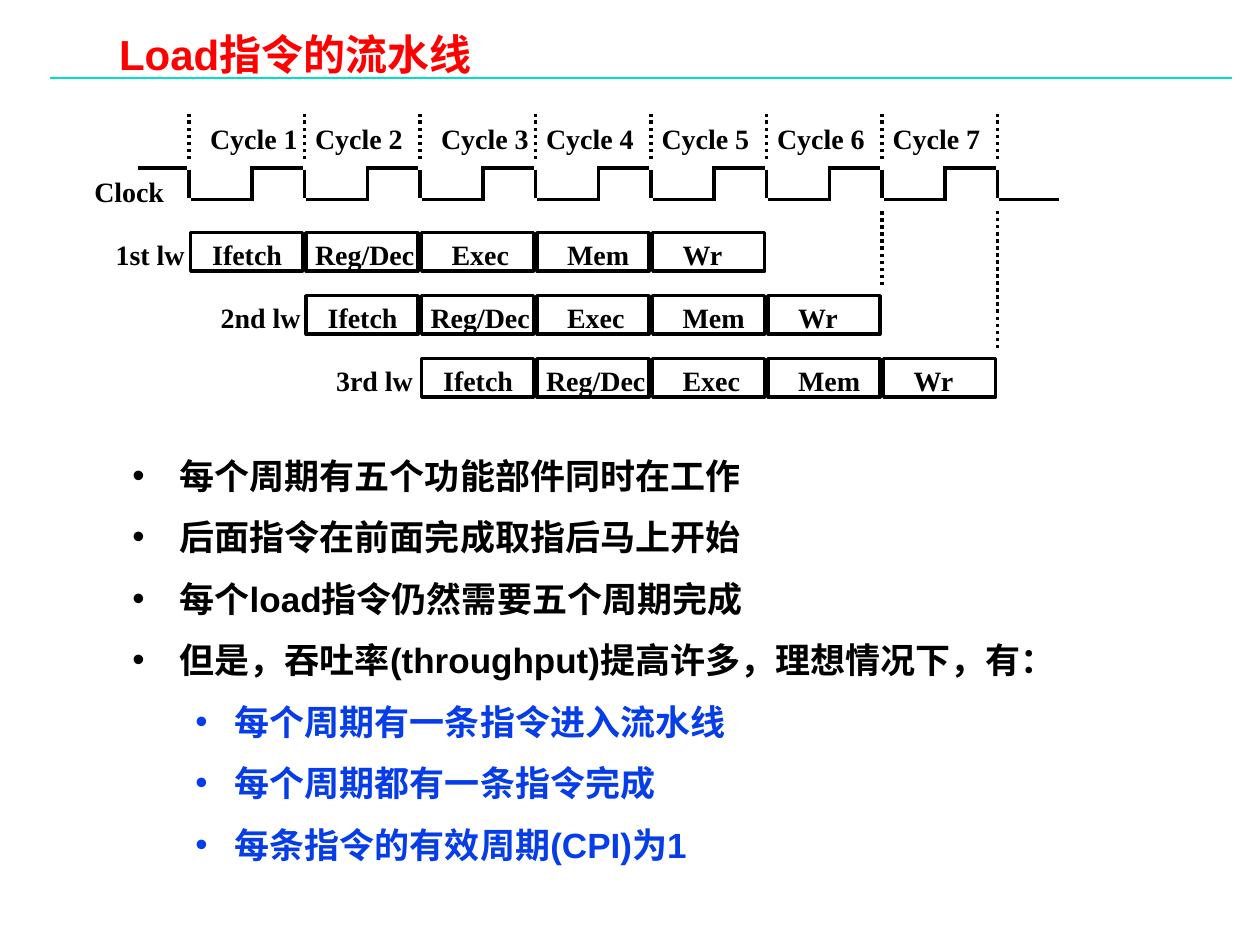
from lxml.etree import SubElement as Sub
from pptx import Presentation
from pptx.dml.color import RGBColor as RGB
from pptx.enum.dml import MSO_LINE as Dash
from pptx.enum.shapes import MSO_CONNECTOR as Conn, MSO_SHAPE as Shape
from pptx.enum.text import MSO_ANCHOR as Anchor, MSO_AUTO_SIZE as Auto, PP_ALIGN as Align
from pptx.oxml.ns import qn
from pptx.util import Pt

BLACK = RGB(0x00, 0x00, 0x00)
RED = RGB(0xFF, 0x00, 0x00)
BLUE = RGB(0x06, 0x3D, 0xE8)
TEAL = RGB(0x00, 0xDF, 0xCA)

LEFT, STEP = 108, 66            # first clock edge, cycle length
HIGH, LOW = 96, 114             # clock levels
CYCLES = 7
ROW_TOP, ROW_STEP = 133, 36

# Stage name, text offset from the clock edge, text width
STAGES = [("Ifetch", 6.2, 55), ("Reg/Dec", -1, 72), ("Exec", 11, 48),
          ("Mem", 11, 51), ("Wr", 11, 39)]
# Row label, left, width
ROWS = [("1st lw", 59, 55), ("2nd lw", 119, 61), ("3rd lw", 185, 60)]
POINTS = [
    (0, "每个周期有五个功能部件同时在工作"),
    (0, "后面指令在前面完成取指后马上开始"),
    (0, "每个load指令仍然需要五个周期完成"),
    (0, "但是，吞吐率(throughput)提高许多，理想情况下，有："),
    (1, "每个周期有一条指令进入流水线"),
    (1, "每个周期都有一条指令完成"),
    (1, "每条指令的有效周期(CPI)为1"),
]
# Colour, left margin and hanging indent of each level
LEVELS = [(BLACK, 27, 27), (BLUE, 58.5, 22.5)]


def edge(n):
    return LEFT + n * STEP


def add_run(para, text, size, face, color):
    run = para.add_run()
    run.text = text
    font = run.font
    font.size, font.name, font.bold = Pt(size), face, True
    font.color.rgb = color


def set_frame(frame, side, top, wrap):
    frame.margin_left = frame.margin_right = Pt(side)
    frame.margin_top = frame.margin_bottom = Pt(top)
    frame.vertical_anchor = Anchor.TOP
    frame.word_wrap = wrap
    frame.auto_size = Auto.SHAPE_TO_FIT_TEXT


def add_line(home, x1, y1, x2, y2, color=BLACK, width=2, dash=None):
    line = home.add_connector(Conn.STRAIGHT, Pt(x1), Pt(y1), Pt(x2), Pt(y2))
    line.line.color.rgb = color
    line.line.width = Pt(width)
    if dash:
        line.line.dash_style = dash
    Sub(line._element.spPr, qn("a:effectLst"))


def add_label(home, text, x, y, width):
    box = home.add_textbox(Pt(x), Pt(y), Pt(width), Pt(26))
    set_frame(box.text_frame, 7.2, 3.6, False)
    add_run(box.text_frame.paragraphs[0], text, 16, "Times New Roman", BLACK)


def add_cell(home, x, y):
    cell = home.add_shape(Shape.RECTANGLE, Pt(x), Pt(y), Pt(64), Pt(22))
    cell.shadow.inherit = False
    cell.fill.background()
    cell.line.color.rgb = BLACK
    cell.line.width = Pt(2)


def add_title(slide):
    title = slide.shapes.title
    title.left, title.top, title.width, title.height = Pt(63), Pt(18), Pt(380), Pt(29)
    set_frame(title.text_frame, 5, 2.5, True)
    para = title.text_frame.paragraphs[0]
    para.alignment = Align.LEFT
    para.line_spacing = 0.87
    add_run(para, "Load指令的流水线", 24, "Arial", RED)
    add_line(slide.shapes, 28.5, 44.6, 704, 44.6, TEAL, 1)


def add_drop(home, x):
    """Falling clock edge and the low level after it."""
    add_line(home, x + 1, LOW, x + 35, LOW)
    add_line(home, x, HIGH + 1, x, LOW - 1)


def add_clock(shapes):
    add_label(shapes, "Clock", 46.8, 96, 56)
    add_line(shapes, 79, HIGH, LEFT - 1, HIGH)
    for n in range(CYCLES):
        x = edge(n)
        wave = shapes.add_group_shape().shapes
        add_drop(wave, x)
        add_line(wave, x + 36, LOW + 1, x + 36, HIGH - 1)
        add_line(wave, x + 37, HIGH, x + 65, HIGH)
        add_label(shapes, f"Cycle {n + 1}", x + (5 if n in (0, 2) else -1), 66, 66)
    add_drop(shapes, edge(CYCLES))
    # Dotted cycle borders
    for n in range(CYCLES + 1):
        add_line(shapes, edge(n), 91, edge(n), 65, dash=Dash.ROUND_DOT)
    for n, end in ((6, 163), (7, 199)):
        add_line(shapes, edge(n), end, edge(n), 119, dash=Dash.ROUND_DOT)


def add_rows(shapes):
    for row, (name, left, width) in enumerate(ROWS):
        y = ROW_TOP + row * ROW_STEP
        group = shapes.add_group_shape().shapes
        for n, (stage, shift, span) in enumerate(STAGES, row):
            add_cell(group, edge(n) + 1, y)
            add_label(group, stage, edge(n) + shift, y - 1, span)
        add_label(group, name, left, y - 1, width)


def add_bullet(para, color, margin, hang):
    props = para._p.get_or_add_pPr()
    props.set("marL", str(Pt(margin)))
    props.set("indent", str(-Pt(hang)))
    Sub(Sub(props, qn("a:buClr")), qn("a:srgbClr"), val=str(color))
    Sub(props, qn("a:buFont"), typeface="Arial")
    Sub(props, qn("a:buChar"), char="•")


def add_points(shapes):
    box = shapes.add_textbox(Pt(70.6), Pt(253.5), Pt(569.5), Pt(243))
    frame = box.text_frame
    set_frame(frame, 5, 2.5, True)
    for n, (level, text) in enumerate(POINTS):
        para = frame.add_paragraph() if n else frame.paragraphs[0]
        color, margin, hang = LEVELS[level]
        para.level = level
        add_bullet(para, color, margin, hang)
        para.line_spacing = 1.15
        if n:
            para.space_before = Pt(7.5)
        add_run(para, text, 20, "Arial", color)


def main():
    deck = Presentation()
    deck.slide_width, deck.slide_height = Pt(720), Pt(540)
    slide = deck.slides.add_slide(deck.slide_layouts[5])
    add_title(slide)
    add_clock(slide.shapes)
    add_rows(slide.shapes)
    add_points(slide.shapes)
    deck.save("out.pptx")


if __name__ == "__main__":
    main()
